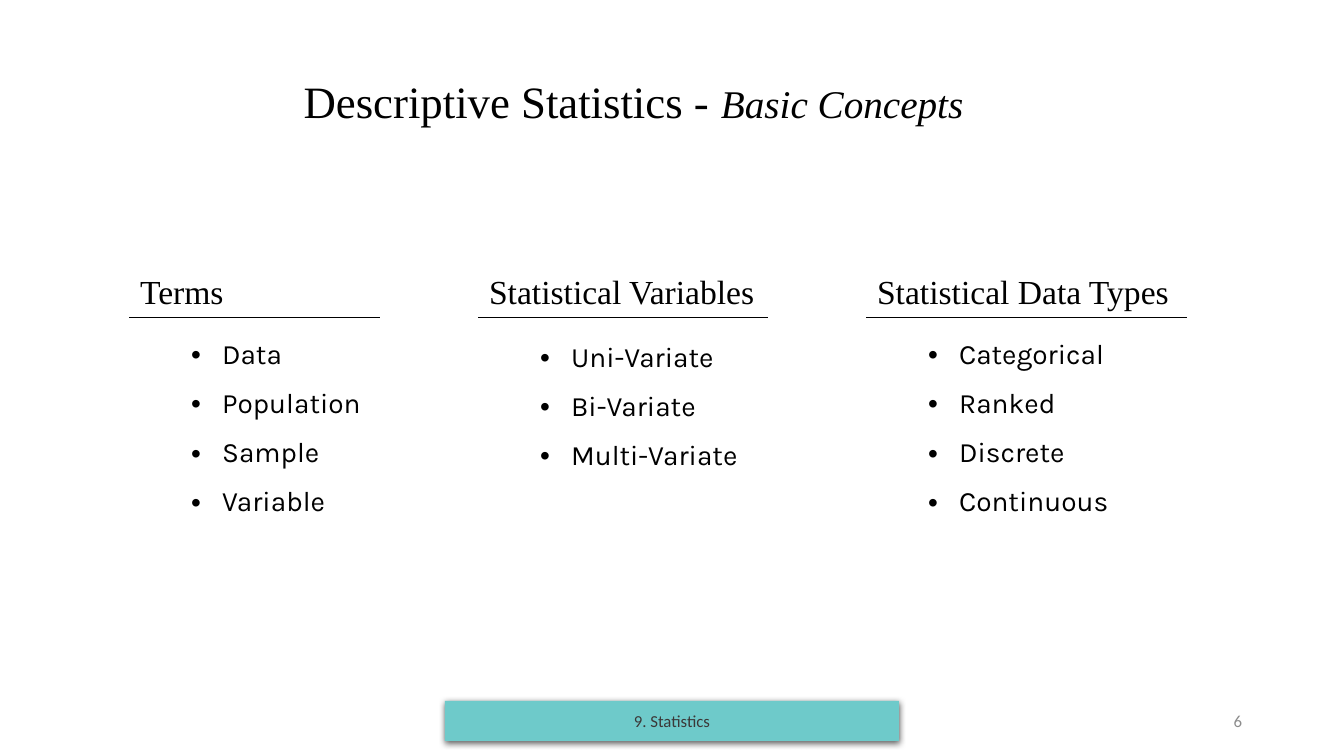
from lxml.etree import SubElement
from pptx import Presentation
from pptx.dml.color import RGBColor
from pptx.enum.shapes import MSO_SHAPE as Shape
from pptx.enum.text import MSO_ANCHOR as Anchor, PP_ALIGN as Align
from pptx.oxml import parse_xml
from pptx.oxml.ns import nsdecls, qn
from pptx.util import Pt

PX = 9071
SERIF, SANS, LIST_FONT = "Times New Roman", "Calibri", "Karla"
BLACK = "000000"
TITLE = [("Descriptive Statistics - ", 32, False), ("Basic Concepts", 28, True)]
COLUMNS = [
    ("Terms", 249, ["Data", "Population", "Sample", "Variable"]),
    ("Statistical Variables", 288, ["Uni-Variate", "Bi-Variate", "Multi-Variate"]),
    ("Statistical Data Types", 319, ["Categorical", "Ranked", "Discrete", "Continuous"]),
]
FOOTER, PAGE_NUMBER = "9. Statistics", "6"
LEFT, TOP, GAP = 130, 270, 100
HEADER_HEIGHT, LIST_HEIGHT = 41, 163
FOOTER_TOP, FOOTER_HEIGHT = 701, 40
INDENT, HANGING = 82, 31


def px(*lengths):
    """Turn pixel lengths into EMU."""
    return [length * PX for length in lengths]


def color(value):
    """Turn a hex string into a colour."""
    return RGBColor.from_string(value)


def style(font, name, size, value, italic=False):
    """Format a font."""
    font.name, font.size, font.bold, font.italic = name, Pt(size), False, italic
    font.color.rgb = color(value)


def add_title(page):
    """Place the title and its italic part."""
    title = page.shapes.title
    title.left, title.top, title.width, title.height = px(54, 31, 1159, 146)
    title.text_frame.vertical_anchor = Anchor.MIDDLE
    para = title.text_frame.paragraphs[0]
    para.alignment, para.line_spacing = Align.CENTER, 0.9
    for text, size, italic in TITLE:
        span = para.add_run()
        span.text = text
        style(span.font, SERIF, size, BLACK, italic)


def add_border(cell, side):
    """Draw a black line on one side of a cell."""
    cell._tc.get_or_add_tcPr().insert(0, parse_xml(
        f'<a:{side} {nsdecls("a")} w="12700"><a:solidFill>'
        f'<a:srgbClr val="{BLACK}"/></a:solidFill></a:{side}>'))


def add_bullet(para):
    """Give a paragraph a hanging bullet."""
    para.level, para.line_spacing = 1, 1.5
    props = para._p.get_or_add_pPr()
    margin, hanging = px(INDENT, HANGING)
    props.set("marL", str(margin))
    props.set("indent", str(-hanging))
    SubElement(props, qn("a:buFont"), typeface="Arial")
    SubElement(props, qn("a:buChar"), char="•")


def add_column(page, left, heading, width, items):
    """Add a heading and its list as a two-row table."""
    frame = page.shapes.add_table(
        2, 1, *px(left, TOP, width, HEADER_HEIGHT + LIST_HEIGHT))
    table = frame.table
    table.first_row = table.horz_banding = False
    table.rows[0].height, table.rows[1].height = px(HEADER_HEIGHT, LIST_HEIGHT)
    header, body = table.cell(0, 0), table.cell(1, 0)
    for cell, side in ((header, "lnB"), (body, "lnT")):
        cell.fill.background()
        cell.vertical_anchor = Anchor.MIDDLE
        add_border(cell, side)
    header.text_frame.text = heading
    style(header.text_frame.paragraphs[0].runs[0].font, SERIF, 24, BLACK)
    body.text_frame.text = "\n".join(items)
    for para in body.text_frame.paragraphs:
        add_bullet(para)
        style(para.runs[0].font, LIST_FONT, 20, BLACK)


def write_line(box, text, value, align):
    """Write one small line in a footer box."""
    frame = box.text_frame
    frame.text, frame.word_wrap, frame.vertical_anchor = text, True, Anchor.MIDDLE
    para = frame.paragraphs[0]
    para.alignment = align
    style(para.runs[0].font, SANS, 12, value)


def add_footer(page):
    """Add the page number and the shadowed chapter label."""
    number = page.shapes.add_textbox(*px(950, FOOTER_TOP, 302, FOOTER_HEIGHT))
    write_line(number, PAGE_NUMBER, "8C8C8C", Align.RIGHT)
    label = page.shapes.add_shape(
        Shape.RECTANGLE, *px(445, FOOTER_TOP, 454, FOOTER_HEIGHT))
    label.fill.solid()
    label.fill.fore_color.rgb = color("6ECACA")
    label.line.fill.background()
    label.shadow.inherit = False
    effects = label._element.spPr.find(qn("a:effectLst"))
    effects.append(parse_xml(
        f'<a:outerShdw {nsdecls("a")} blurRad="57150" dist="19050" dir="5400000" '
        f'algn="ctr" rotWithShape="0"><a:srgbClr val="{BLACK}">'
        '<a:alpha val="63000"/></a:srgbClr></a:outerShdw>'))
    write_line(label, FOOTER, "3B3838", Align.CENTER)


def main():
    """Build and save the slide."""
    deck = Presentation()
    deck.slide_width, deck.slide_height = px(1344, 756)
    page = deck.slides.add_slide(deck.slide_layouts[5])
    add_title(page)
    left = LEFT
    for heading, width, items in COLUMNS:
        add_column(page, left, heading, width, items)
        left += width + GAP
    add_footer(page)
    deck.save("out.pptx")


if __name__ == "__main__":
    main()
